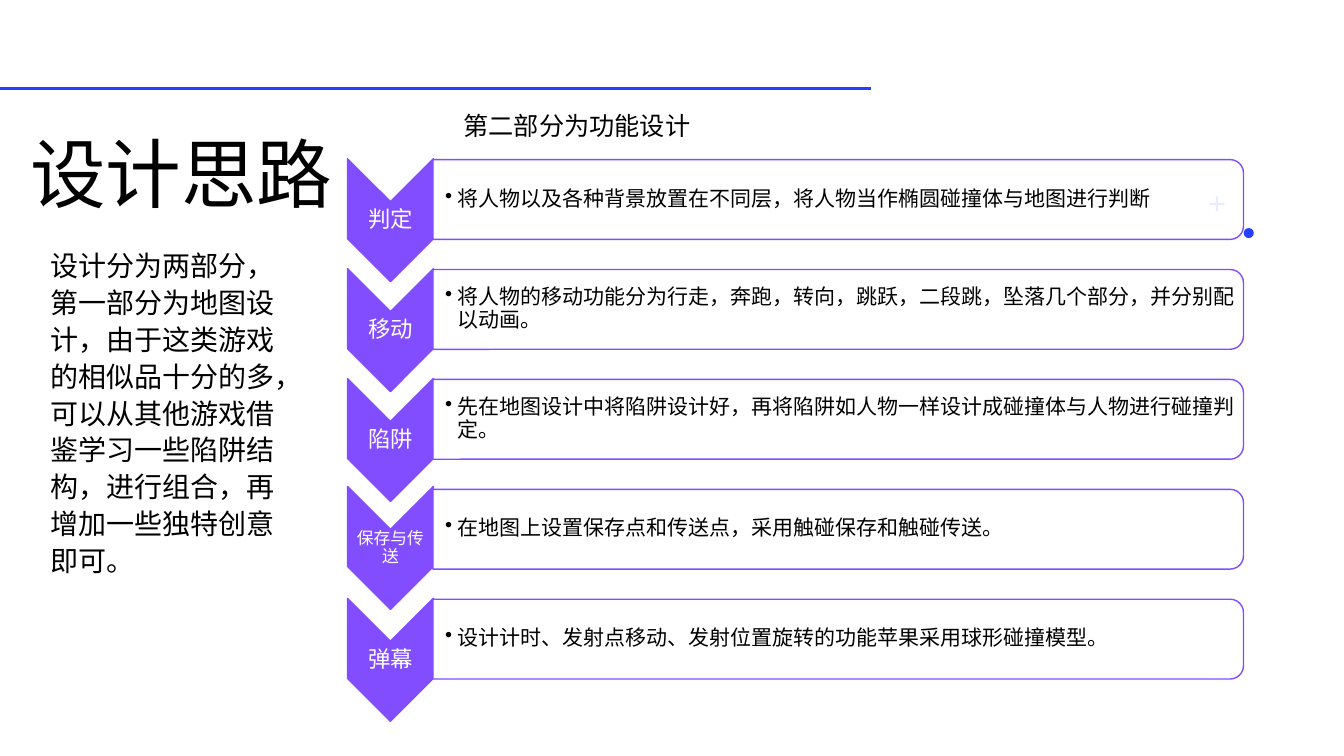
from dataclasses import dataclass

from lxml.etree import SubElement
from pptx import Presentation
from pptx.dml.color import RGBColor
from pptx.enum.shapes import MSO_CONNECTOR, MSO_SHAPE
from pptx.enum.text import MSO_ANCHOR as Anchor, PP_ALIGN as Align
from pptx.oxml.ns import qn
from pptx.util import Pt


@dataclass(frozen=True)
class Theme:
    """Colours, fonts and type sizes of the slide."""
    accent: str = "243FFF"
    violet: str = "814DFF"
    white: str = "FFFFFF"
    ink: str = "000000"
    cjk: str = "Noto Sans CJK SC"
    latin: str = "Roboto"
    title: int = 54
    body: int = 20
    heading: int = 18
    label: int = 16
    detail: int = 15
    small: int = 12


THEME = Theme()
FEATURES = [
    ("判定", "将人物以及各种背景放置在不同层，将人物当作椭圆碰撞体与地图进行判断"),
    ("移动", "将人物的移动功能分为行走，奔跑，转向，跳跃，二段跳，坠落几个部分，并分别配以动画。"),
    ("陷阱", "先在地图设计中将陷阱设计好，再将陷阱如人物一样设计成碰撞体与人物进行碰撞判定。"),
    ("保存与传送", "在地图上设置保存点和传送点，采用触碰保存和触碰传送。"),
    ("弹幕", "设计计时、发射点移动、发射位置旋转的功能苹果采用球形碰撞模型。"),
]
INTRO = ("设计分为两部分，第一部分为地图设计，由于这类游戏的相似品十分的多，"
         "可以从其他游戏借鉴学习一些陷阱结构，进行组合，再增加一些独特创意即可。")
ROW_PITCH = 78.5


def add_text(slide, text, box, size, *, font=THEME.latin, color=THEME.ink, align=Align.LEFT,
             anchor=Anchor.TOP, spacing=1.0, insets=(7.2, 3.6, 7.2, 3.6), wrap=True, bullet=0):
    """Place text in a box given as left, top, width and height."""
    frame = slide.shapes.add_textbox(*map(Pt, box)).text_frame
    frame.word_wrap, frame.vertical_anchor = wrap, anchor
    (frame.margin_left, frame.margin_top,
     frame.margin_right, frame.margin_bottom) = map(Pt, insets)
    paragraph = frame.paragraphs[0]
    paragraph.alignment, paragraph.line_spacing = align, spacing
    run = paragraph.add_run()
    run.text = text
    run.font.size, run.font.name = Pt(size), font
    run.font.color.rgb = RGBColor.from_string(color)
    if bullet:
        props = paragraph._p.get_or_add_pPr()
        props.set("marL", str(Pt(bullet)))
        props.set("indent", str(-Pt(bullet)))
        SubElement(props, qn("a:buChar"), char="•")


def add_figure(slide, preset, center, size, fill, *, outline=None, rotation=0, opacity=100):
    """Draw a filled preset shape around its centre."""
    (x, y), (width, height) = center, size
    figure = slide.shapes.add_shape(
        preset, Pt(x - width / 2), Pt(y - height / 2), Pt(width), Pt(height))
    figure.shadow.inherit = False
    figure.rotation = rotation
    figure.fill.solid()
    figure.fill.fore_color.rgb = RGBColor.from_string(fill)
    if opacity < 100:
        color = figure._element.spPr.find(qn("a:solidFill"))[0]
        SubElement(color, qn("a:alpha"), val=str(opacity * 1000))
    if outline:
        figure.line.color.rgb = RGBColor.from_string(outline)
        figure.line.width = Pt(1)
    else:
        figure.line.fill.background()
    return figure


def add_rule(slide, start, end):
    """Draw a straight accent line."""
    rule = slide.shapes.add_connector(MSO_CONNECTOR.STRAIGHT, *map(Pt, start + end))
    rule.line.color.rgb = RGBColor.from_string(THEME.accent)
    rule.line.width = Pt(2)
    SubElement(rule._element.spPr, qn("a:effectLst"))


def add_feature(slide, row, label, detail):
    """Draw one chevron with its label and the detail box beside it."""
    long_label = len(label) > 2
    chevron_y = 157.3 + row * ROW_PITCH - (1.4 if long_label else 0)
    detail_y = 142.5 + row * ROW_PITCH
    add_figure(slide, MSO_SHAPE.CHEVRON, (278.9, chevron_y), (87.8, 61.3),
               THEME.violet, outline=THEME.violet, rotation=90)
    add_text(slide, label, (248.3, chevron_y - 13.3, 61.2, 26.6),
             THEME.small if long_label else THEME.label, color=THEME.white,
             align=Align.CENTER, anchor=Anchor.MIDDLE, spacing=0.9,
             insets=(0.7,) * 4, wrap=False)
    add_figure(slide, MSO_SHAPE.ROUND_2_SAME_RECTANGLE, (598.7, detail_y), (57, 579),
               THEME.white, outline=THEME.violet, rotation=90, opacity=90)
    add_text(slide, detail, (309.6, detail_y - 25.7, 576, 51.4), THEME.detail,
             anchor=Anchor.MIDDLE, spacing=0.9, insets=(8.4, 0.7, 0.7, 0.7), bullet=9)


def main():
    """Build the slide and save it."""
    deck = Presentation()
    deck.slide_width, deck.slide_height = Pt(960), Pt(540)
    slide = deck.slides.add_slide(deck.slide_layouts[6])
    add_rule(slide, (0, 63.4), (622, 63.4))
    add_figure(slide, MSO_SHAPE.OVAL, (892, 166.5), (7.2, 7.2), THEME.accent)
    plus = add_figure(slide, MSO_SHAPE.CROSS, (869.2, 145.6), (10.8, 10.8), THEME.accent)
    plus.adjustments[0] = 0.43
    add_text(slide, "设计思路", (14.4, 67, 487.4, 92.9), THEME.title,
             font=THEME.cjk, anchor=Anchor.BOTTOM, spacing=0.9)
    add_text(slide, INTRO, (28.8, 171.4, 191.5, 263.5), THEME.body,
             font=THEME.cjk, spacing=1.1)
    for row, (label, detail) in enumerate(FEATURES):
        add_feature(slide, row, label, detail)
    add_text(slide, "第二部分为功能设计", (324, 75.6, 177.8, 28.8), THEME.heading, wrap=False)
    deck.save("out.pptx")


if __name__ == "__main__":
    main()
